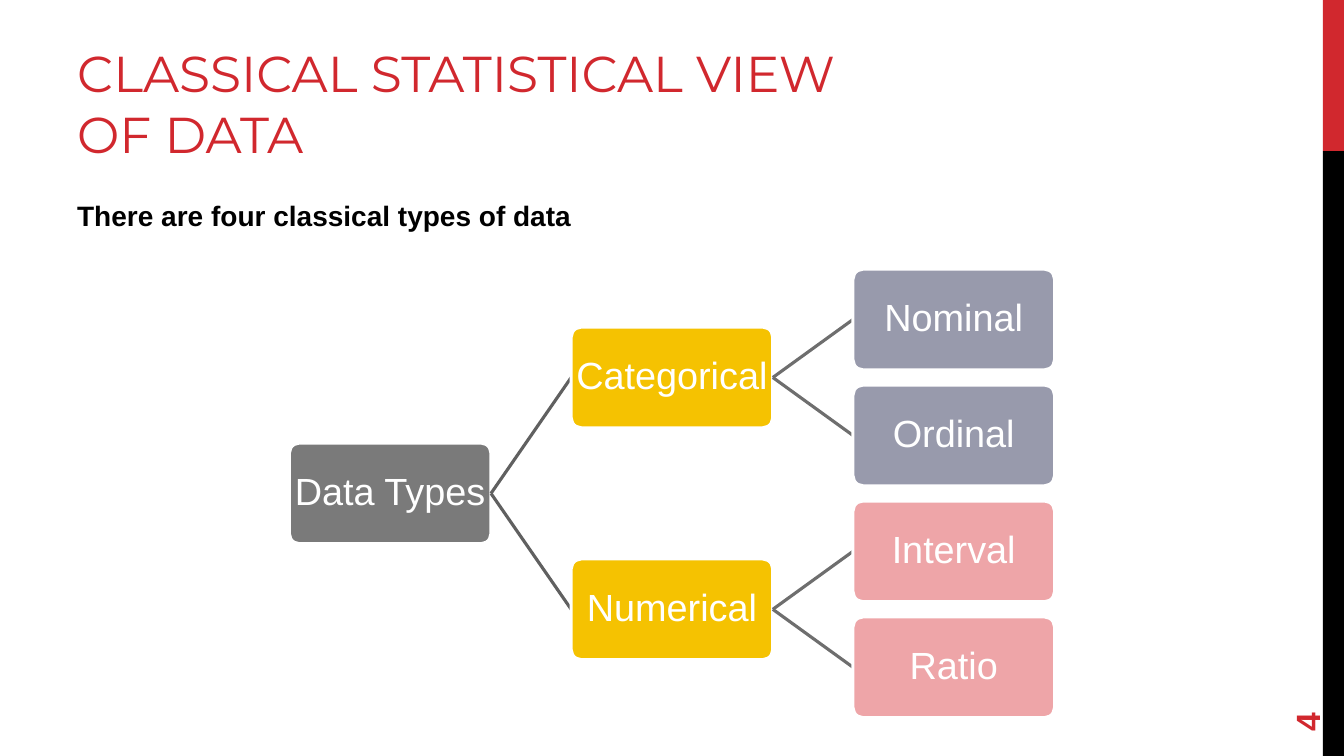
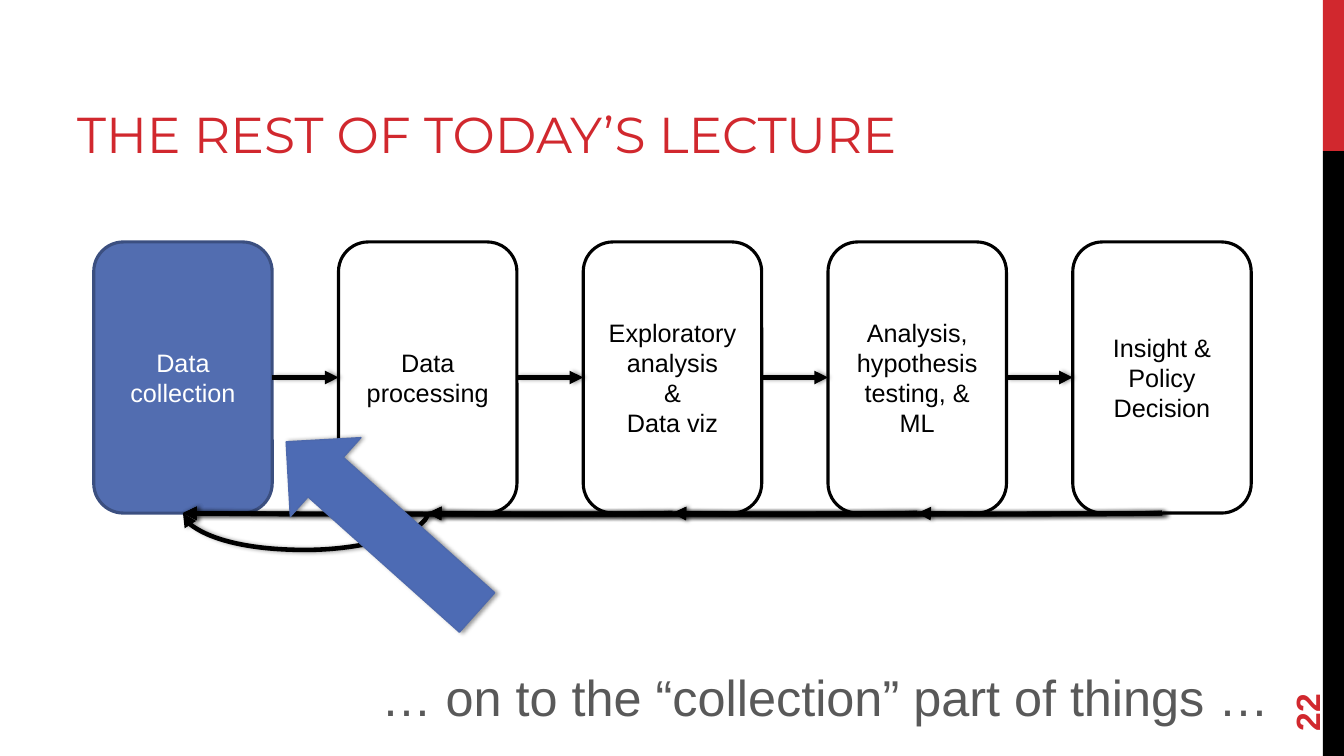
from dataclasses import dataclass

from pptx import Presentation
from pptx.dml.color import RGBColor
from pptx.enum.shapes import MSO_CONNECTOR, MSO_SHAPE
from pptx.enum.text import MSO_ANCHOR, PP_ALIGN
from pptx.oxml.ns import qn
from pptx.util import Inches, Pt
from lxml.etree import SubElement


@dataclass(frozen=True)
class Theme:
    accent: str = "D1282E"
    black: str = "000000"
    white: str = "FFFFFF"
    closing: str = "595959"
    root: str = "7A7A7A"
    branch: str = "F5C201"
    categorical_leaf: str = "989AAC"
    numerical_leaf: str = "EEA5A8"
    links: tuple = ("606060", "6E6E6E")
    active_fill: str = "526DB0"
    active_line: str = "3B4F80"
    pointer_fill: str = "4D6BB4"
    pointer_line: str = "4D69AD"
    heading_font: str = "Montserrat"
    body_font: str = "Arial"
    heading_size: float = 36
    node_size: float = 27
    number_size: float = 24
    body_size: float = 20
    step_size: float = 18
    outline: float = 2.25
    arrow_line: float = 3.25


@dataclass(frozen=True)
class Box:
    left: float
    top: float
    width: float
    height: float

    def inches(self):
        return [Inches(v) for v in (self.left, self.top, self.width, self.height)]


THEME = Theme()
PAGE = Box(0, 0, 13.33, 7.5)


# Shared drawing helpers
def color(value):
    return RGBColor.from_string(value)


def write(shape, text, size, ink, font=THEME.body_font, bold=False,
          align=PP_ALIGN.LEFT, anchor=MSO_ANCHOR.TOP, spacing=None):
    frame = shape.text_frame
    frame.word_wrap = True
    frame.vertical_anchor = anchor
    frame.text = text
    for paragraph in frame.paragraphs:
        paragraph.alignment = align
        paragraph.line_spacing = spacing
        paragraph.font.name = font
        paragraph.font.size = Pt(size)
        paragraph.font.bold = bold
        paragraph.font.color.rgb = color(ink)


def add_text(slide, box, text, size, ink, **style):
    label = slide.shapes.add_textbox(*box.inches())
    write(label, text, size, ink, **style)
    return label


def add_block(slide, kind, box, fill, line=None, width=THEME.outline):
    block = slide.shapes.add_shape(kind, *box.inches())
    block.shadow.inherit = False
    block.fill.solid()
    block.fill.fore_color.rgb = color(fill)
    if line:
        block.line.color.rgb = color(line)
        block.line.width = Pt(width)
    else:
        block.line.fill.background()
    return block


def add_line(slide, kind, start, end, ink, width):
    line = slide.shapes.add_connector(kind, *(Inches(v) for v in (*start, *end)))
    line.line.color.rgb = color(ink)
    line.line.width = Pt(width)
    SubElement(line._element.spPr, qn("a:effectLst"))
    return line


def cast_shadow(shape):
    effects = shape._element.spPr.find(qn("a:effectLst"))
    shadow = SubElement(effects, qn("a:outerShdw"), blurRad=str(Pt(3.1)),
                        dist=str(Pt(1.8)), dir="0", rotWithShape="0")
    ink = SubElement(shadow, qn("a:srgbClr"), val=THEME.black)
    SubElement(ink, qn("a:alpha"), val="40000")


def add_arrow(slide, kind, start, end):
    arrow = add_line(slide, kind, start, end, THEME.black, THEME.arrow_line)
    SubElement(arrow.line._get_or_add_ln(), qn("a:tailEnd"), type="triangle")
    cast_shadow(arrow)
    return arrow


# Title, side bands and slide number common to all slides
def add_frame(prs, title, title_width, number):
    slide = prs.slides.add_slide(prs.slide_layouts[6])
    band_width, split = 0.21, PAGE.height / 5
    band_left = PAGE.width - band_width
    for top, height, fill in ((0, split, THEME.accent),
                              (split, PAGE.height - split, THEME.black)):
        add_block(slide, MSO_SHAPE.RECTANGLE,
                  Box(band_left, top, band_width, height), fill)
    add_text(slide, Box(PAGE.width / 20, 0.17, title_width, split), title,
             THEME.heading_size, THEME.accent, font=THEME.heading_font,
             anchor=MSO_ANCHOR.BOTTOM)
    page_number = add_text(slide, Box(12.24, 6.37, 1.44, 0.53), number,
                           THEME.number_size, THEME.accent, bold=True,
                           anchor=MSO_ANCHOR.MIDDLE)
    page_number.rotation = 270
    return slide


# Tree: one column per level, one row per leaf
def add_tree(slide, area, nodes):
    node_width, node_height = 2, 1
    column_step = (area.width - node_width) / 2
    row_step = (area.height - node_height) / 3
    placed = {}
    for name, parent, column, row, fill in nodes:
        link = parent and add_line(slide, MSO_CONNECTOR.STRAIGHT, (0, 0), (0, 0),
                                   THEME.links[column - 1], THEME.outline)
        box = Box(area.left + column * column_step, area.top + row * row_step,
                  node_width, node_height)
        node = add_block(slide, MSO_SHAPE.ROUNDED_RECTANGLE, box, fill, THEME.white)
        node.adjustments[0] = 0.1
        write(node, name, THEME.node_size, THEME.white, align=PP_ALIGN.CENTER,
              anchor=MSO_ANCHOR.MIDDLE, spacing=0.9)
        frame = node.text_frame
        frame.word_wrap = False
        frame.margin_left = frame.margin_right = Inches(0.05)
        if link:
            link.begin_connect(placed[parent], 3)
            link.end_connect(node, 1)
        placed[name] = node


# Feedback curve: a thin vertical connector turned to run right to left
def add_feedback(slide, right, left, base, depth):
    thin = 0.001
    middle, half = (right + left) / 2, (right - left) / 2
    curve = add_arrow(slide, MSO_CONNECTOR.CURVE,
                      (middle - thin / 2, base - half),
                      (middle + thin / 2, base + half))
    properties = curve._element.spPr
    properties.find(qn("a:xfrm")).set("rot", str(90 * 60000))
    guides = properties.find(qn("a:prstGeom")).get_or_add_avLst()
    SubElement(guides, qn("a:gd"), name="adj1",
               fmla=f"val {round(depth / thin * 100000)}")


# Process: equal steps joined by arrows, each leading back to all earlier ones
def add_process(slide, area, steps):
    step_width = 1.77
    pitch = (area.width - step_width) / (len(steps) - 1)
    base = area.top + area.height
    centers, previous = [], None
    for index, text in enumerate(steps):
        left = area.left + index * pitch
        fill, line, ink = (
            (THEME.white, THEME.black, THEME.black) if index
            else (THEME.active_fill, THEME.active_line, THEME.white))
        step = add_block(slide, MSO_SHAPE.ROUNDED_RECTANGLE,
                         Box(left, area.top, step_width, area.height), fill, line)
        write(step, text, THEME.step_size, ink, align=PP_ALIGN.CENTER,
              anchor=MSO_ANCHOR.MIDDLE)
        center = left + step_width / 2
        if previous:
            forward = add_arrow(slide, MSO_CONNECTOR.STRAIGHT, (0, 0), (0, 0))
            forward.begin_connect(previous, 3)
            forward.end_connect(step, 1)
        for earlier in reversed(centers):
            add_feedback(slide, center, earlier, base, 0.31 if index == 1 else 0.01)
        centers.append(center)
        previous = step


def build_data_types(prs):
    slide = add_frame(prs, "CLASSICAL STATISTICAL VIEW OF DATA", 8.44, "4")
    add_text(slide, Box(PAGE.width / 20, 1.92, 11.11, 0.5),
             "There are four classical types of data",
             THEME.body_size, THEME.black, bold=True)
    add_tree(slide, Box(2.87, 2.67, 7.59, 4.45), (
        ("Data Types", None, 0, 1.5, THEME.root),
        ("Categorical", "Data Types", 1, 0.5, THEME.branch),
        ("Nominal", "Categorical", 2, 0, THEME.categorical_leaf),
        ("Ordinal", "Categorical", 2, 1, THEME.categorical_leaf),
        ("Numerical", "Data Types", 1, 2.5, THEME.branch),
        ("Interval", "Numerical", 2, 2, THEME.numerical_leaf),
        ("Ratio", "Numerical", 2, 3, THEME.numerical_leaf),
    ))


def build_lecture_plan(prs):
    slide = add_frame(prs, "THE REST OF TODAY’S LECTURE", 9.61, "22")
    add_process(slide, Box(0.93, 2.4, 11.48, 2.69), (
        "Data collection",
        "Data processing",
        "Exploratory analysis\n&\nData viz",
        "Analysis, hypothesis testing, & ML",
        "Insight & Policy Decision",
    ))
    # Pointer to the current step
    pointer = add_block(slide, MSO_SHAPE.DOWN_ARROW, Box(3.26, 3.96, 1.05, 2.54),
                        THEME.pointer_fill, THEME.pointer_line, 1)
    pointer.rotation = 131.8
    cast_shadow(pointer)
    add_text(slide, Box(1.11, 6.56, 11.58, 0.71),
             "… on to the “collection” part of things …",
             THEME.heading_size, THEME.closing, align=PP_ALIGN.RIGHT)


def main():
    prs = Presentation()
    prs.slide_width = Inches(PAGE.width)
    prs.slide_height = Inches(PAGE.height)
    build_data_types(prs)
    build_lecture_plan(prs)
    prs.save("out.pptx")


if __name__ == "__main__":
    main()
